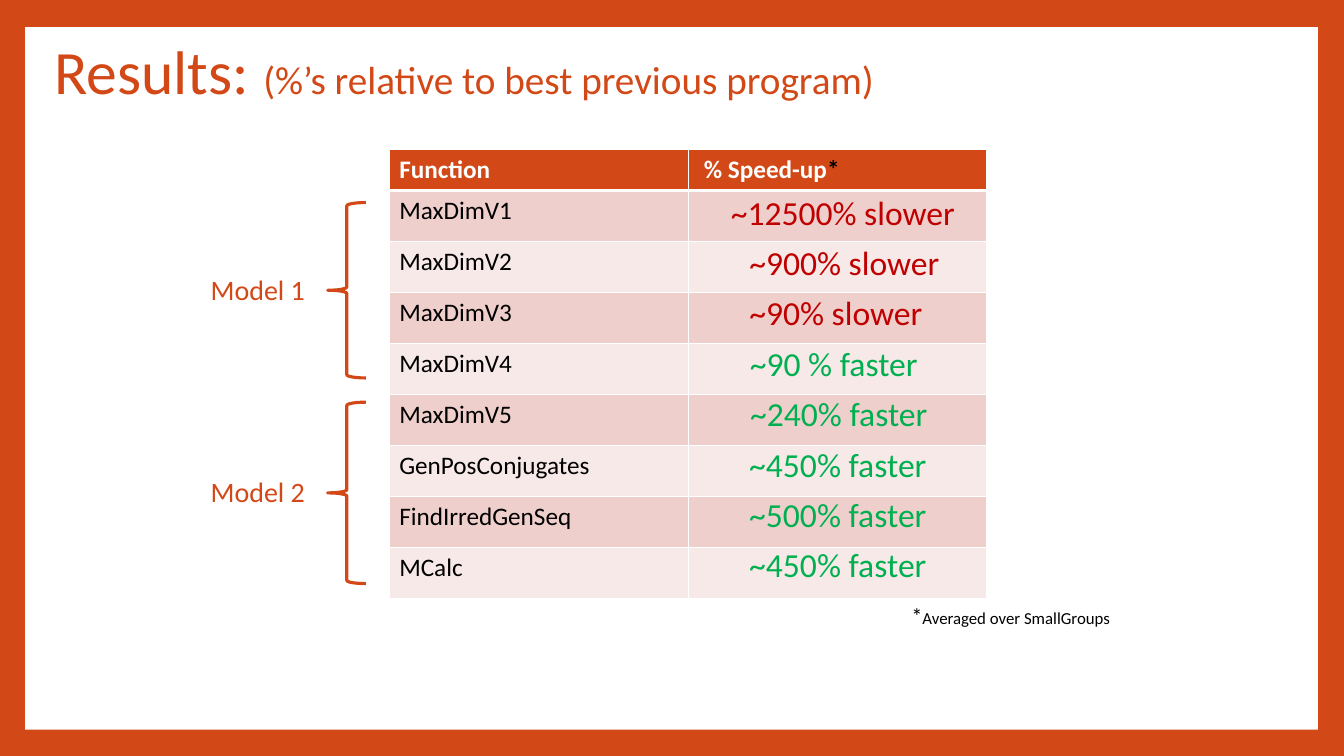
import lxml.etree
import pptx
import pptx.dml.color
import pptx.enum.shapes
import pptx.enum.text
import pptx.oxml.ns
import pptx.util

Inches = pptx.util.Inches
ANCHOR = pptx.enum.text.MSO_ANCHOR
ALIGN = pptx.enum.text.PP_ALIGN
SHAPES = pptx.enum.shapes.MSO_SHAPE

FONT = "Calibri"
ORANGE, WHITE, BLACK = "D34817", "FFFFFF", "000000"
RED, GREEN = "C00000", "00B050"
BANDS = ("EFCFCC", "F7E9E8")

# Function, speed-up, colour, left and width of the speed-up label
RESULTS = [
    ("MaxDimV1", "~12500% slower", RED, 7.14, 2.44),
    ("MaxDimV2", "~900% slower", RED, 7.3, 2.15),
    ("MaxDimV3", "~90% slower", RED, 7.3, 1.98),
    ("MaxDimV4", "~90 % faster", GREEN, 7.3, 1.94),
    ("MaxDimV5", "~240% faster", GREEN, 7.3, 2.04),
    ("GenPosConjugates", "~450% faster", GREEN, 7.3, 2.02),
    ("FindIrredGenSeq", "~500% faster", GREEN, 7.3, 2.02),
    ("MCalc", "~450% faster", GREEN, 7.3, 2.02),
]


def color(value):
    return pptx.dml.color.RGBColor.from_string(value)


def paint(fill, value):
    fill.solid()
    fill.fore_color.rgb = color(value)


def add_run(paragraph, text, size=18, fill=BLACK, bold=False):
    run = paragraph.add_run()
    run.text = text
    run.font.name = FONT
    run.font.size = pptx.util.Pt(size)
    run.font.bold = bold
    run.font.color.rgb = color(fill)


def add_text(slide, box, runs, align=ALIGN.LEFT, anchor=ANCHOR.TOP, wrap=True, spacing=1.0):
    """Place a text box whose runs are (text, format) pairs."""
    frame = slide.shapes.add_textbox(*map(Inches, box)).text_frame
    frame.word_wrap = wrap
    frame.vertical_anchor = anchor
    paragraph = frame.paragraphs[0]
    paragraph.alignment = align
    paragraph.line_spacing = spacing
    for text, style in runs:
        add_run(paragraph, text, **style)


def set_borders(cell, bottom=1):
    properties = cell._tc.get_or_add_tcPr()
    qualify = pptx.oxml.ns.qn
    for index, side in enumerate("LRTB"):
        width = pptx.util.Pt(bottom if side == "B" else 1)
        line = lxml.etree.Element(qualify(f"a:ln{side}"), w=str(int(width)))
        solid = lxml.etree.SubElement(line, qualify("a:solidFill"))
        lxml.etree.SubElement(solid, qualify("a:srgbClr"), val=WHITE)
        properties.insert(index, line)


def add_panel(slide, box):
    paint(slide.background.fill, ORANGE)
    panel = slide.shapes.add_shape(SHAPES.RECTANGLE, *map(Inches, box))
    panel.shadow.inherit = False
    paint(panel.fill, WHITE)
    panel.line.fill.background()


def add_title(slide, box):
    runs = [
        ("Results: ", dict(size=44, fill=ORANGE)),
        ("(%’s relative to best previous program)", dict(size=28, fill=ORANGE)),
    ]
    add_text(slide, box, runs, anchor=ANCHOR.MIDDLE, spacing=0.9)


def add_results_table(slide, box):
    left, top, width, height = box
    header_height = 0.41
    frame = slide.shapes.add_table(len(RESULTS) + 1, 2, *map(Inches, box))
    table = frame.table
    for column in table.columns:
        column.width = Inches(width / 2)
    for row in table.rows:
        row.height = Inches((height - header_height) / len(RESULTS))
    table.rows[0].height = Inches(header_height)

    # Header row
    function_header, speed_header = table.rows[0].cells
    add_run(function_header.text_frame.paragraphs[0], "Function", fill=WHITE, bold=True)
    paragraph = speed_header.text_frame.paragraphs[0]
    add_run(paragraph, " % Speed-up", fill=WHITE, bold=True)
    add_run(paragraph, "*", bold=True)
    for cell in (function_header, speed_header):
        paint(cell.fill, ORANGE)
        set_borders(cell, bottom=3)

    # Banded rows, with the speed-up labels laid over the second column
    for index, (name, speed, fill, label_left, label_width) in enumerate(RESULTS):
        cells = [table.cell(index + 1, column) for column in range(2)]
        add_run(cells[0].text_frame.paragraphs[0], name)
        for cell in cells:
            paint(cell.fill, BANDS[index % 2])
            set_borders(cell)
        label_box = (label_left, top + 0.37 + 0.5 * index, label_width, 0.5)
        add_text(slide, label_box, [(speed, dict(size=24, fill=fill))],
                 align=ALIGN.CENTER, wrap=False)


def add_model(slide, box, name):
    """A model name with a brace that spans the box's height."""
    left, top, width, height = box
    brace_width = 0.38
    brace = slide.shapes.add_shape(
        SHAPES.LEFT_BRACE, Inches(left + width - brace_width), Inches(top),
        Inches(brace_width), Inches(height))
    brace.shadow.inherit = False
    brace.fill.background()
    brace.line.color.rgb = color(ORANGE)
    brace.line.width = pptx.util.Pt(2.25)
    label_box = (left, top + height / 2 - 0.23, 1.44, 0.44)
    add_text(slide, label_box, [(name, dict(size=20, fill=ORANGE))])


def add_footnote(slide, box):
    add_text(slide, box, [("*", dict(size=16)), ("Averaged over SmallGroups", dict(size=12))])


def main():
    presentation = pptx.Presentation()
    presentation.slide_width = Inches(13.33)
    presentation.slide_height = Inches(7.5)
    slide = presentation.slides.add_slide(presentation.slide_layouts[6])
    add_panel(slide, (0.25, 0.27, 12.82, 6.97))
    add_title(slide, (0.44, 0, 10.8, 1.48))
    add_results_table(slide, (3.86, 1.48, 5.93, 4.46))
    add_model(slide, (1.99, 2.01, 1.64, 1.74), "Model 1")
    add_model(slide, (1.99, 3.99, 1.64, 1.8), "Model 2")
    add_footnote(slide, (8.94, 5.92, 2.69, 0.37))
    presentation.save("out.pptx")


if __name__ == "__main__":
    main()
